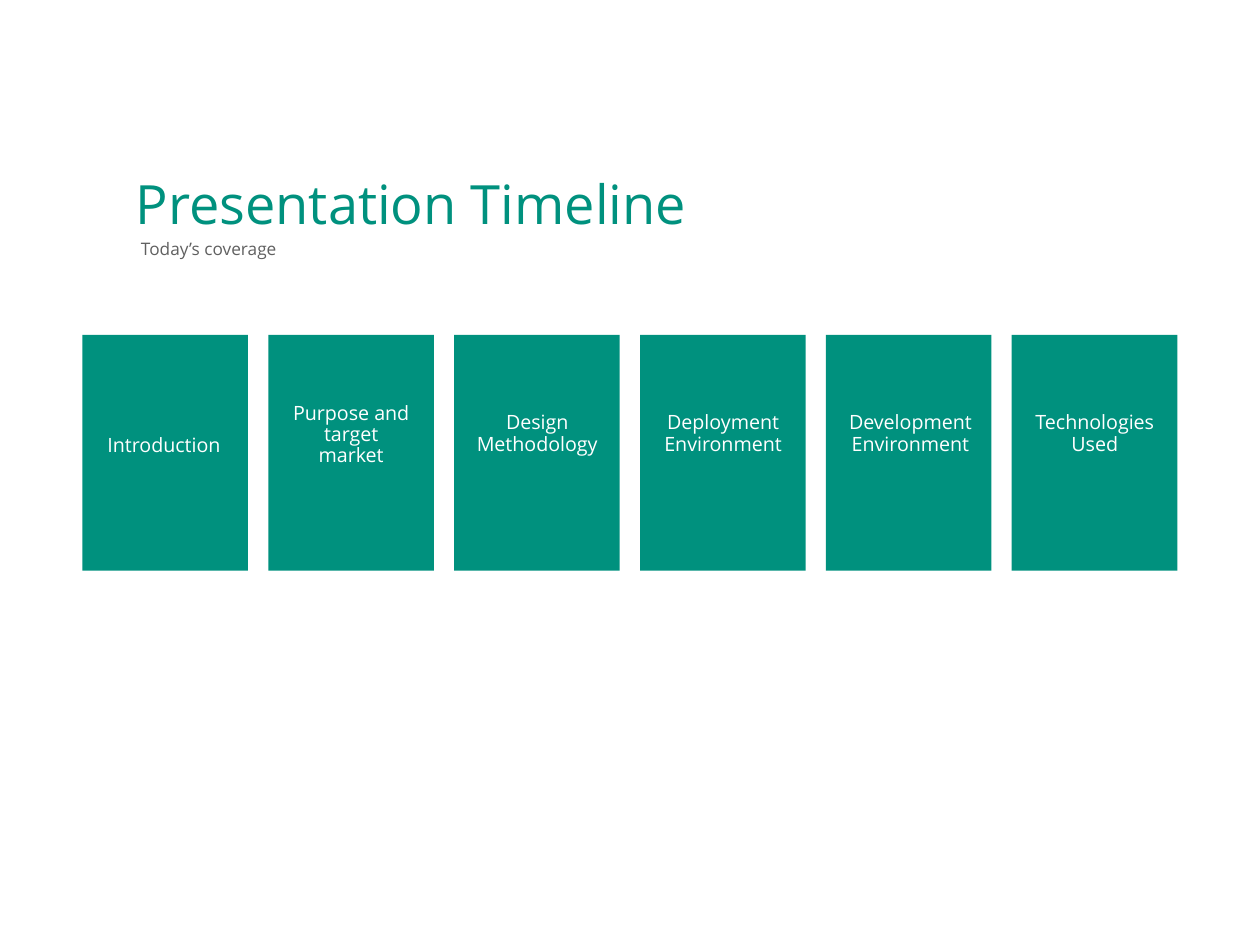
from pptx import Presentation
from pptx.dml.color import RGBColor
from pptx.enum import shapes, text
from pptx.util import Pt

FONT = "Open Sans"
GREEN = RGBColor(0x00, 0x91, 0x7E)
GREY = RGBColor(0x60, 0x60, 0x60)
WHITE = RGBColor(0xFF, 0xFF, 0xFF)

# words, left, top, width, height, size, colour
HEADS = [
    ("Presentation Timeline", 108, 136, 487.4, 64, 44, GREEN),
    ("Today’s coverage", 112.3, 191.5, 707, 23.8, 14, GREY),
]
# words, label inset from the card's left side, top, width, height
STEPS = [
    ("Introduction", -1.2, 351.4, 135, 33),
    ("Purpose and target market", 17.4, 325.4, 100, 171),
    ("Design Methodology", 0, 333.4, 135, 68),
    ("Deployment Environment", 0, 333.4, 135, 68),
    ("Development Environment", 1.2, 333.4, 135, 68),
    ("Technologies Used", 0, 333.4, 135, 68),
]
LEFT, TOP, WIDE, HIGH, PITCH = 67, 272.2, 134.6, 191.5, 151.05


def write(slide, words, left, top, wide, high, size, color,
          align=text.PP_ALIGN.LEFT, lead=1.0):
    box = slide.shapes.add_textbox(Pt(left), Pt(top), Pt(wide), Pt(high))
    frame = box.text_frame
    frame.word_wrap = True
    frame.margin_left = frame.margin_right = Pt(2.2)
    frame.margin_top = frame.margin_bottom = Pt(2.2)
    para = frame.paragraphs[0]
    para.alignment = align
    para.line_spacing = lead
    run = para.add_run()
    run.text = words
    run.font.name = FONT
    run.font.size = Pt(size)
    run.font.color.rgb = color


def main():
    deck = Presentation()
    deck.slide_width, deck.slide_height = Pt(1024), Pt(768)
    slide = deck.slides.add_slide(deck.slide_layouts[6])
    for head in HEADS:
        write(slide, *head)
    for i, (words, inset, top, wide, high) in enumerate(STEPS):
        left = LEFT + i * PITCH
        card = slide.shapes.add_shape(shapes.MSO_SHAPE.RECTANGLE, Pt(left),
                                      Pt(TOP), Pt(WIDE), Pt(HIGH))
        card.shadow.inherit = False
        card.fill.solid()
        card.fill.fore_color.rgb = GREEN
        card.line.fill.background()
        write(slide, words, left + inset, top, wide, high, 16, WHITE,
              text.PP_ALIGN.CENTER, 0.9)
    deck.save("out.pptx")


if __name__ == "__main__":
    main()
